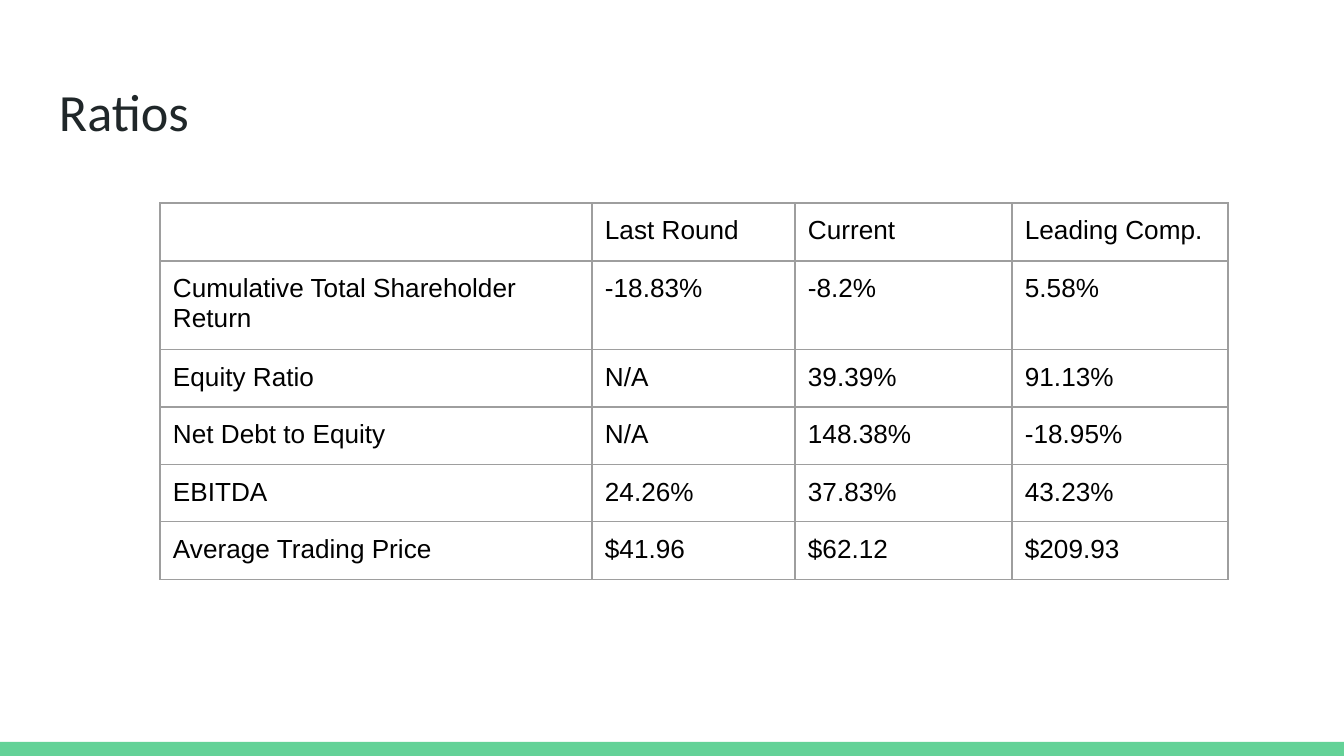
from lxml.etree import SubElement
from pptx import Presentation
from pptx.dml.color import RGBColor
from pptx.enum.shapes import MSO_SHAPE
from pptx.enum.text import MSO_ANCHOR
from pptx.oxml.ns import qn
from pptx.util import Pt

EMU_PER_PX = 914400 / 134.4
INSET = 13

GREEN = RGBColor(0x63, 0xD2, 0x97)
INK = RGBColor(0x20, 0x27, 0x29)
BLACK = RGBColor(0x00, 0x00, 0x00)
GREY = RGBColor(0x9E, 0x9E, 0x9E)

COL_WIDTHS = [432, 203, 217, 216]
ROW_HEIGHTS = [58, 86, 56, 56, 56, 56]
RATIOS = [
    ["", "Last Round", "Current", "Leading Comp."],
    ["Cumulative Total Shareholder Return", "-18.83%", "-8.2%", "5.58%"],
    ["Equity Ratio", "N/A", "39.39%", "91.13%"],
    ["Net Debt to Equity", "N/A", "148.38%", "-18.95%"],
    ["EBITDA", "24.26%", "37.83%", "43.23%"],
    ["Average Trading Price", "$41.96", "$62.12", "$209.93"],
]


def px(n):
    return round(n * EMU_PER_PX)


def box(*lengths):
    return [px(n) for n in lengths]


def set_insets(target):
    """Give a text frame or a cell the same margin on all sides."""
    target.margin_left = target.margin_right = px(INSET)
    target.margin_top = target.margin_bottom = px(INSET)


def style_text(tf, font, size, color):
    for p in tf.paragraphs:
        p.font.size = Pt(size)
        for r in p.runs:
            r.font.name = font
            r.font.size = Pt(size)
            r.font.color.rgb = color


def add_bar(slide, bounds, color):
    sp = slide.shapes.add_shape(MSO_SHAPE.RECTANGLE, *box(*bounds))
    sp.shadow.inherit = False
    sp.fill.solid()
    sp.fill.fore_color.rgb = color
    sp.line.fill.background()


def add_title(slide, text, bounds):
    tf = slide.shapes.add_textbox(*box(*bounds)).text_frame
    tf.word_wrap = True
    tf.vertical_anchor = MSO_ANCHOR.TOP
    set_insets(tf)
    tf.text = text
    style_text(tf, "Calibri", 28, INK)


def set_borders(cell, color, width):
    tc_pr = cell._tc.get_or_add_tcPr()
    for side in ("lnL", "lnR", "lnT", "lnB"):
        ln = SubElement(tc_pr, qn(f"a:{side}"), w=str(Pt(width)))
        fill = SubElement(ln, qn("a:solidFill"))
        SubElement(fill, qn("a:srgbClr"), val=str(color))


def add_ratio_table(slide, left, top):
    bounds = box(left, top, sum(COL_WIDTHS), sum(ROW_HEIGHTS))
    table = slide.shapes.add_table(len(RATIOS), len(COL_WIDTHS), *bounds).table
    table.first_row = table.horz_banding = False
    for column, width in zip(table.columns, COL_WIDTHS):
        column.width = px(width)
    for row, height, texts in zip(table.rows, ROW_HEIGHTS, RATIOS):
        row.height = px(height)
        for cell, text in zip(row.cells, texts):
            set_insets(cell)
            set_borders(cell, GREY, 0.75)
            cell.fill.background()
            cell.text = text
            style_text(cell.text_frame, "Arial", 14, BLACK)


def main():
    prs = Presentation()
    prs.slide_width, prs.slide_height = box(1344, 756)
    slide = prs.slides.add_slide(prs.slide_layouts[6])
    add_bar(slide, (0, 742, 1344, 14), GREEN)
    add_title(slide, "Ratios", (46, 66, 1252, 85))
    add_ratio_table(slide, 160, 203)
    prs.save("out.pptx")


if __name__ == "__main__":
    main()
